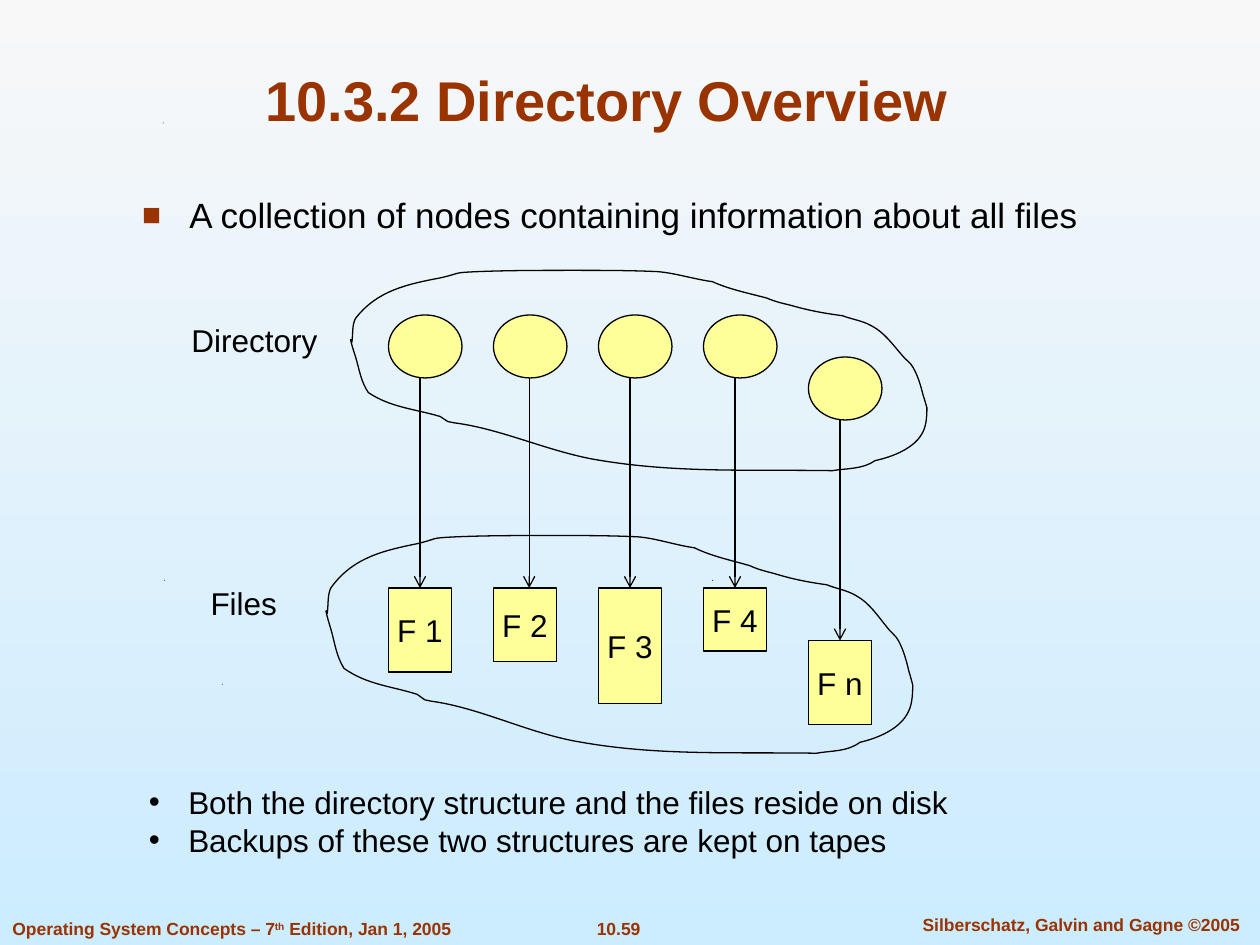
from dataclasses import dataclass

import pptx
import pptx.dml.color
import pptx.enum.shapes
import pptx.enum.text
import pptx.oxml.ns
import pptx.util
from lxml import etree

COLORS = {"ink": "000000", "accent": "993300", "node": "FFFF99",
          "sky_top": "F8F8F8", "sky_bottom": "CCECFF"}
FONT = "Arial"
COLUMNS, ROWS = 120, 90  # the page grid: twelve cells to the inch
NODE_WIDTH, NODE_HEIGHT = 7, 6
FILE_WIDTH = 6
SHAPES = pptx.enum.shapes.MSO_SHAPE
ALIGN = pptx.enum.text.PP_ALIGN
ANCHOR = pptx.enum.text.MSO_ANCHOR


@dataclass
class Area:
    left: float
    top: float
    width: float
    height: float


@dataclass
class Entry:
    """A directory node with the file it points to."""
    label: str
    node_top: float
    file_top: float
    file_height: float
    arrow_shift: float = 0


@dataclass
class Bullet:
    mark: str
    indent: float
    color: str = "ink"
    percent: int = 100


ENTRIES = [
    Entry("F 1", 30, 56, 8),
    Entry("F 2", 30, 56, 7, arrow_shift=0.4),
    Entry("F 3", 30, 56, 11),
    Entry("F 4", 30, 56, 6),
    Entry("F n", 34, 61, 8),
]
FIRST_COLUMN, COLUMN_STEP = 37, 10

# Outline of a group on a 458 by 161 field: a start, then cubic curves
GROUP_FIELD = (458, 161)
GROUP_START = (1, 57)
GROUP_CURVES = [
    ((2, 50), (1, 43), (4, 38)), ((21, 16), (45, 11), (71, 6)),
    ((89, 2), (79, 2), (101, 1)), ((126, 0), (151, 0), (177, 0)),
    ((199, 0), (221, 0), (243, 1)), ((257, 2), (272, 7), (287, 9)),
    ((300, 15), (315, 18), (330, 22)), ((337, 25), (342, 26), (350, 28)),
    ((364, 32), (375, 34), (390, 36)), ((398, 39), (406, 40), (413, 44)),
    ((423, 49), (430, 59), (437, 67)), ((440, 71), (444, 73), (446, 77)),
    ((450, 84), (452, 91), (454, 99)), ((455, 102), (457, 109), (457, 109)),
    ((457, 113), (457, 122), (454, 128)), ((448, 141), (430, 148), (416, 151)),
    ((406, 158), (394, 157), (382, 159)), ((318, 158), (260, 161), (199, 151)),
    ((159, 145), (121, 126), (82, 121)), ((80, 121), (79, 120), (77, 120)),
    ((75, 119), (73, 117), (71, 116)), ((51, 110), (32, 109), (14, 97)),
    ((8, 88), (7, 79), (4, 69)), ((4, 69), (0, 57), (0, 55)),
    ((0, 54), (1, 56), (1, 57)),
]
GROUPS = [Area(33.4, 25.75, 55, 19.32), Area(31.05, 51, 56, 21)]
SPECKS = [(21.12, 65.1), (15.6, 55.2), (67.8, 55.2), (15.48, 11.64)]


def cells(count: float) -> int:
    return pptx.util.Inches(count / 12)


def rgb(name: str) -> pptx.dml.color.RGBColor:
    return pptx.dml.color.RGBColor.from_string(COLORS[name])


def add_child(parent, tag: str, **attributes: str):
    return etree.SubElement(parent, pptx.oxml.ns.qn(tag), attributes)


def add_bullet(para, bullet: Bullet) -> None:
    properties = para._p.get_or_add_pPr()
    indent = cells(bullet.indent)
    properties.set("marL", str(indent))
    properties.set("indent", str(-indent))
    color = add_child(properties, "a:buClr")
    add_child(color, "a:srgbClr", val=COLORS[bullet.color])
    add_child(properties, "a:buSzPct", val=str(bullet.percent * 1000))
    add_child(properties, "a:buFont", typeface=FONT)
    add_child(properties, "a:buChar", char=bullet.mark)


def write_text(frame, lines, *, size=18, color="ink", bold=False, align=ALIGN.LEFT,
               anchor=ANCHOR.TOP, wrap=False, bullet=None, spacing=None) -> None:
    """Each line is a string, or a list of (string, baseline percent) spans."""
    frame.word_wrap = wrap
    frame.vertical_anchor = anchor
    for index, line in enumerate(lines):
        para = frame.paragraphs[0] if index == 0 else frame.add_paragraph()
        if bullet:
            add_bullet(para, bullet)
        para.alignment = align
        para.line_spacing = spacing
        for words, baseline in [(line, 0)] if isinstance(line, str) else line:
            span = para.add_run()
            span.text = words
            span.font.name = FONT
            span.font.size = pptx.util.Pt(size)
            span.font.bold = bold
            span.font.color.rgb = rgb(color)
            if baseline:
                span._r.get_or_add_rPr().set("baseline", str(baseline * 1000))


def add_text(page, area: Area, lines, **style) -> None:
    box = page.shapes.add_textbox(*map(cells, (area.left, area.top, area.width, area.height)))
    write_text(box.text_frame, lines, **style)


def outline(shape) -> None:
    shape.line.color.rgb = rgb("ink")
    shape.line.width = pptx.util.Pt(0.75)


def add_solid(page, kind, area: Area):
    box = page.shapes.add_shape(kind, *map(cells, (area.left, area.top, area.width, area.height)))
    box.shadow.inherit = False
    box.fill.solid()
    box.fill.fore_color.rgb = rgb("node")
    outline(box)
    return box


def add_polygon(page, points):
    corners = [(cells(x), cells(y)) for x, y in points]
    builder = page.shapes.build_freeform(*corners[0])
    builder.add_line_segments(corners[1:], close=True)
    shape = builder.convert_to_shape()
    shape.shadow.inherit = False
    return shape


def add_arrow(page, x: float, top: float, bottom: float):
    arrow = page.shapes.add_connector(pptx.enum.shapes.MSO_CONNECTOR.STRAIGHT,
                                      cells(x), cells(top), cells(x), cells(bottom))
    outline(arrow)
    add_child(arrow.line._get_or_add_ln(), "a:tailEnd", type="arrow")
    add_child(arrow._element.spPr, "a:effectLst")
    return arrow


def add_entry(page, column: float, entry: Entry) -> None:
    add_solid(page, SHAPES.OVAL, Area(column, entry.node_top, NODE_WIDTH, NODE_HEIGHT))
    file = add_solid(page, SHAPES.RECTANGLE,
                     Area(column, entry.file_top, FILE_WIDTH, entry.file_height))
    write_text(file.text_frame, [entry.label], align=ALIGN.CENTER, anchor=ANCHOR.MIDDLE)
    arrow = add_arrow(page, column + FILE_WIDTH / 2 + entry.arrow_shift,
                      entry.node_top + NODE_HEIGHT, entry.file_top)
    if not entry.arrow_shift:
        arrow.end_connect(file, 0)


def bend(shape) -> None:
    """Turn every three line segments into one cubic curve."""
    figure = next(shape._element.iter(pptx.oxml.ns.qn("a:path")))
    segments = figure.findall(pptx.oxml.ns.qn("a:lnTo"))
    for first in range(0, len(segments), 3):
        curve = etree.Element(pptx.oxml.ns.qn("a:cubicBezTo"))
        segments[first].addprevious(curve)
        for segment in segments[first:first + 3]:
            curve.append(segment[0])
            figure.remove(segment)


def add_group(page, area: Area) -> None:
    points = [GROUP_START, *(point for curve in GROUP_CURVES for point in curve)]
    shape = add_polygon(page, [(area.left + x * area.width / GROUP_FIELD[0],
                                area.top + y * area.height / GROUP_FIELD[1])
                               for x, y in points])
    bend(shape)
    shape.fill.background()
    outline(shape)


def add_speck(page, x: float, y: float, size: float = 0.12) -> None:
    speck = add_polygon(page, [(x, y + size), (x + size / 2, y + size), (x + size, y)])
    speck.fill.solid()
    speck.fill.fore_color.rgb = rgb("ink")
    speck.line.fill.background()


def main() -> None:
    deck = pptx.Presentation()
    deck.slide_width, deck.slide_height = cells(COLUMNS), cells(ROWS)
    page = deck.slides.add_slide(deck.slide_layouts[6])

    # Background
    sky = page.background.fill
    sky.gradient()
    sky.gradient_angle = 270
    for stop, name, position in zip(sky.gradient_stops, ("sky_top", "sky_bottom"), (0, 1)):
        stop.color.rgb = rgb(name)
        stop.position = position

    # Footer and specks
    footer = {"size": 10, "color": "accent", "bold": True}
    add_text(page, Area(55.56, 86.82, 6.72, 3.24), ["10.59"], align=ALIGN.CENTER, **footer)
    add_text(page, Area(85.15, 86.46, 35.64, 3.24), ["Silberschatz, Galvin and Gagne ©2005"],
             align=ALIGN.CENTER, **footer)
    add_text(page, Area(0, 86.82, 44.28, 3.24),
             [[("Operating System Concepts – 7", 0), ("th", 30), (" Edition, Jan 1, 2005", 0)]],
             **footer)
    for x, y in SPECKS:
        add_speck(page, x, y)

    # Title and opening point
    add_text(page, Area(13.44, 6.48, 88.68, 6.72), ["10.3.2 Directory Overview"], size=32,
             color="accent", bold=True, align=ALIGN.CENTER, anchor=ANCHOR.BOTTOM, wrap=True)
    add_text(page, Area(12.36, 18.28, 99.36, 4.56),
             ["A collection of nodes containing information about all files"],
             size=20, wrap=True, spacing=0.9, bullet=Bullet("■", 4.5, "accent", 90))

    # Diagram
    for index, entry in enumerate(ENTRIES):
        add_entry(page, FIRST_COLUMN + index * COLUMN_STEP, entry)
    for area in GROUPS:
        add_group(page, area)
    for label, area in (("Directory", Area(17.04, 30, 14.4, 4.8)),
                        ("Files", Area(18.84, 55, 8.76, 4.8))):
        add_text(page, area, [label], align=ALIGN.CENTER, anchor=ANCHOR.MIDDLE)

    # Closing points
    add_text(page, Area(13, 74, 97, 10.2),
             ["Both the directory structure and the files reside on disk",
              "Backups of these two structures are kept on tapes"],
             wrap=True, bullet=Bullet("•", 3.75))

    deck.save("out.pptx")


if __name__ == "__main__":
    main()
